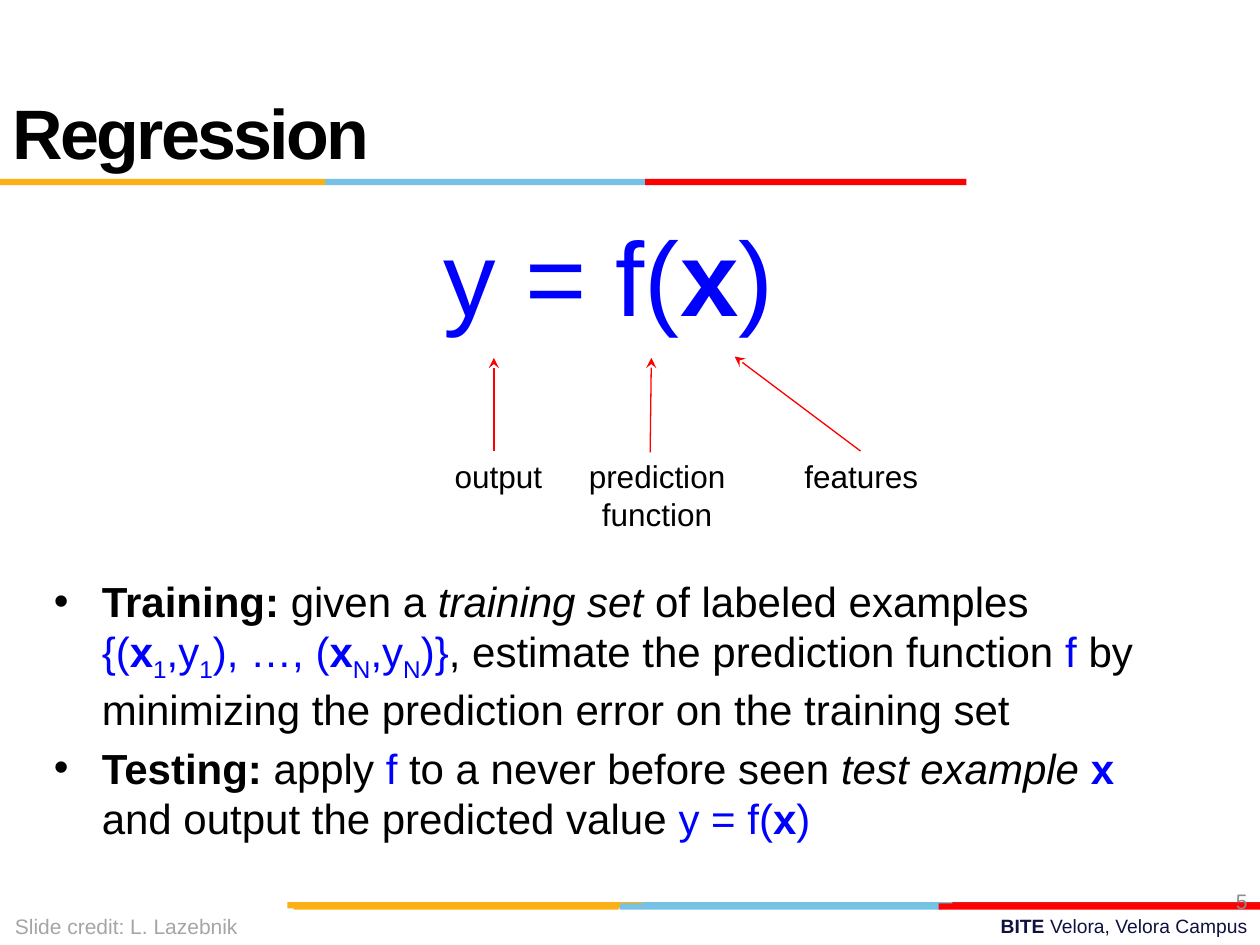
from dataclasses import dataclass

from lxml.etree import SubElement
from pptx import Presentation
from pptx.dml.color import RGBColor
from pptx.enum.shapes import MSO_CONNECTOR, MSO_SHAPE
from pptx.enum.text import MSO_ANCHOR as ANCHOR, PP_ALIGN as ALIGN
from pptx.oxml.ns import qn
from pptx.util import Inches, Pt

BLACK = RGBColor(0x00, 0x00, 0x00)
BLUE = RGBColor(0x00, 0x00, 0xFF)
RED = RGBColor(0xFF, 0x00, 0x00)
CRIMSON = RGBColor(0xE3, 0x1C, 0x24)
SKY = RGBColor(0x76, 0xC2, 0xE5)
AMBER = RGBColor(0xFC, 0xB0, 0x17)
NAVY = RGBColor(0x10, 0x11, 0x41)
GRAY = RGBColor(0x8C, 0x8C, 0x8C)
LIGHT_GRAY = RGBColor(0xA5, 0xA5, 0xA5)
FONT = "Arial"


@dataclass
class Band:
    left: float
    top: float
    width: float
    color: RGBColor


@dataclass
class Run:
    text: str
    color: RGBColor = BLACK
    bold: bool = False
    italic: bool = False
    baseline: int = 0


@dataclass
class Arrow:
    start: tuple[float, float]
    end: tuple[float, float]


@dataclass
class Label:
    box: tuple[float, float, float, float]
    runs: list[Run]
    size: int
    align: ALIGN = ALIGN.LEFT
    anchor: ANCHOR = ANCHOR.TOP
    spacing: int = 0


BANDS = [
    Band(5.06, 7.16, 2.55, SKY),
    Band(7.56, 7.16, 2.44, CRIMSON),
    Band(2.28, 7.16, 2.82, AMBER),
    Band(4.92, 7.17, 2.55, SKY),
    Band(2.33, 7.17, 2.58, AMBER),
    Band(7.45, 7.17, 2.55, RED),
    Band(2.58, 1.42, 2.55, SKY),
    Band(0, 1.42, 2.58, AMBER),
    Band(5.12, 1.42, 2.55, RED),
]

ARROWS = [
    Arrow((3.92, 3.58), (3.92, 2.84)),
    Arrow((5.16, 3.59), (5.17, 2.84)),
    Arrow((6.83, 3.58), (5.83, 2.83)),
]

LABELS = [
    Label((3.58, 7.21, 6.42, 0.29),
          [Run("BITE ", NAVY, bold=True), Run("Velora, Velora Campus", NAVY)],
          11, ALIGN.RIGHT),
    Label((0, 0.76, 5.51, 0.57), [Run("Regression", bold=True)], 40,
          anchor=ANCHOR.MIDDLE, spacing=-150),
    Label((7.67, 6.95, 2.33, 0.4), [Run("5", GRAY)], 12, ALIGN.RIGHT, ANCHOR.MIDDLE),
    Label((3.51, 3.58, 0.9, 0.4), [Run("output")], 18),
    Label((4.18, 3.58, 2.07, 0.71), [Run("prediction function")], 18, ALIGN.CENTER),
    Label((6.01, 3.58, 1.65, 0.4), [Run("features")], 18, ALIGN.CENTER),
    Label((0.02, 7.2, 1.98, 0.3), [Run("Slide credit: L. Lazebnik", LIGHT_GRAY)], 12),
]

BODY_BOX = (0.33, 1.63, 9, 4.95)
FORMULA = [Run("y = f(", BLUE), Run("x", BLUE, bold=True), Run(")", BLUE)]


def sample(index: str) -> list[Run]:
    return [
        Run("x", BLUE, bold=True), Run(index, BLUE, baseline=-25000),
        Run(",y", BLUE), Run(index, BLUE, baseline=-25000),
    ]


TRAINING = [
    Run("Training: ", bold=True), Run("given a "), Run("training set ", italic=True),
    Run("of labeled examples "), Run("{(", BLUE), *sample("1"),
    Run("), …, (", BLUE), *sample("N"), Run(")}", BLUE),
    Run(", estimate the prediction function "), Run("f ", BLUE),
    Run("by minimizing the prediction error on the training set"),
]
TESTING = [
    Run("Testing:", bold=True), Run(" apply "), Run("f", BLUE),
    Run(" to a never before seen "), Run("test example ", italic=True),
    Run("x", BLUE, bold=True), Run(" and output the predicted value "), *FORMULA,
]


def add_band(slide, band: Band) -> None:
    sp = slide.shapes.add_shape(MSO_SHAPE.RECTANGLE, Inches(band.left), Inches(band.top),
                                Inches(band.width), Inches(0.05))
    sp.shadow.inherit = False
    sp.fill.solid()
    sp.fill.fore_color.rgb = band.color
    sp.line.fill.background()


def add_arrow(slide, arrow: Arrow) -> None:
    points = [Inches(v) for v in (*arrow.start, *arrow.end)]
    line = slide.shapes.add_connector(MSO_CONNECTOR.STRAIGHT, *points)
    line.line.color.rgb = RED
    line.line.width = Pt(0.75)
    SubElement(line.line._get_or_add_ln(), qn("a:tailEnd"), type="stealth")
    SubElement(line._element.spPr, qn("a:effectLst"))


def add_text_frame(slide, box: tuple[float, float, float, float]):
    tf = slide.shapes.add_textbox(*(Inches(v) for v in box)).text_frame
    tf.word_wrap = True
    return tf


def fill_paragraph(p, runs: list[Run], size: int, spacing: int = 0) -> None:
    for run in runs:
        r = p.add_run()
        r.text = run.text
        r.font.name = FONT
        r.font.size = Pt(size)
        r.font.bold = run.bold
        r.font.italic = run.italic
        r.font.color.rgb = run.color
        if run.baseline:
            r.font._element.set("baseline", str(run.baseline))
        if spacing:
            r.font._element.set("spc", str(spacing))


def add_label(slide, label: Label) -> None:
    tf = add_text_frame(slide, label.box)
    tf.vertical_anchor = label.anchor
    p = tf.paragraphs[0]
    p.alignment = label.align
    fill_paragraph(p, label.runs, label.size, label.spacing)


def add_bullet(tf, runs: list[Run], space_before: float) -> None:
    p = tf.add_paragraph()
    p.space_before = Pt(space_before)
    pPr = p._p.get_or_add_pPr()
    pPr.set("marL", str(Inches(0.38)))
    pPr.set("indent", str(-Inches(0.38)))
    SubElement(pPr, qn("a:buFont"), typeface=FONT)
    SubElement(pPr, qn("a:buChar"), char="•")
    fill_paragraph(p, runs, 24)


def add_body(slide) -> None:
    tf = add_text_frame(slide, BODY_BOX)
    p = tf.paragraphs[0]
    p.alignment = ALIGN.CENTER
    p.space_before = Pt(6.4)
    fill_paragraph(p, FORMULA, 60)
    add_bullet(tf, TRAINING, 136)
    add_bullet(tf, TESTING, 4.8)


def main() -> None:
    prs = Presentation()
    prs.slide_width, prs.slide_height = Inches(10), Inches(7.5)
    slide = prs.slides.add_slide(prs.slide_layouts[6])
    for band in BANDS:
        add_band(slide, band)
    add_body(slide)
    for arrow in ARROWS:
        add_arrow(slide, arrow)
    for label in LABELS:
        add_label(slide, label)
    prs.save("out.pptx")


if __name__ == "__main__":
    main()
